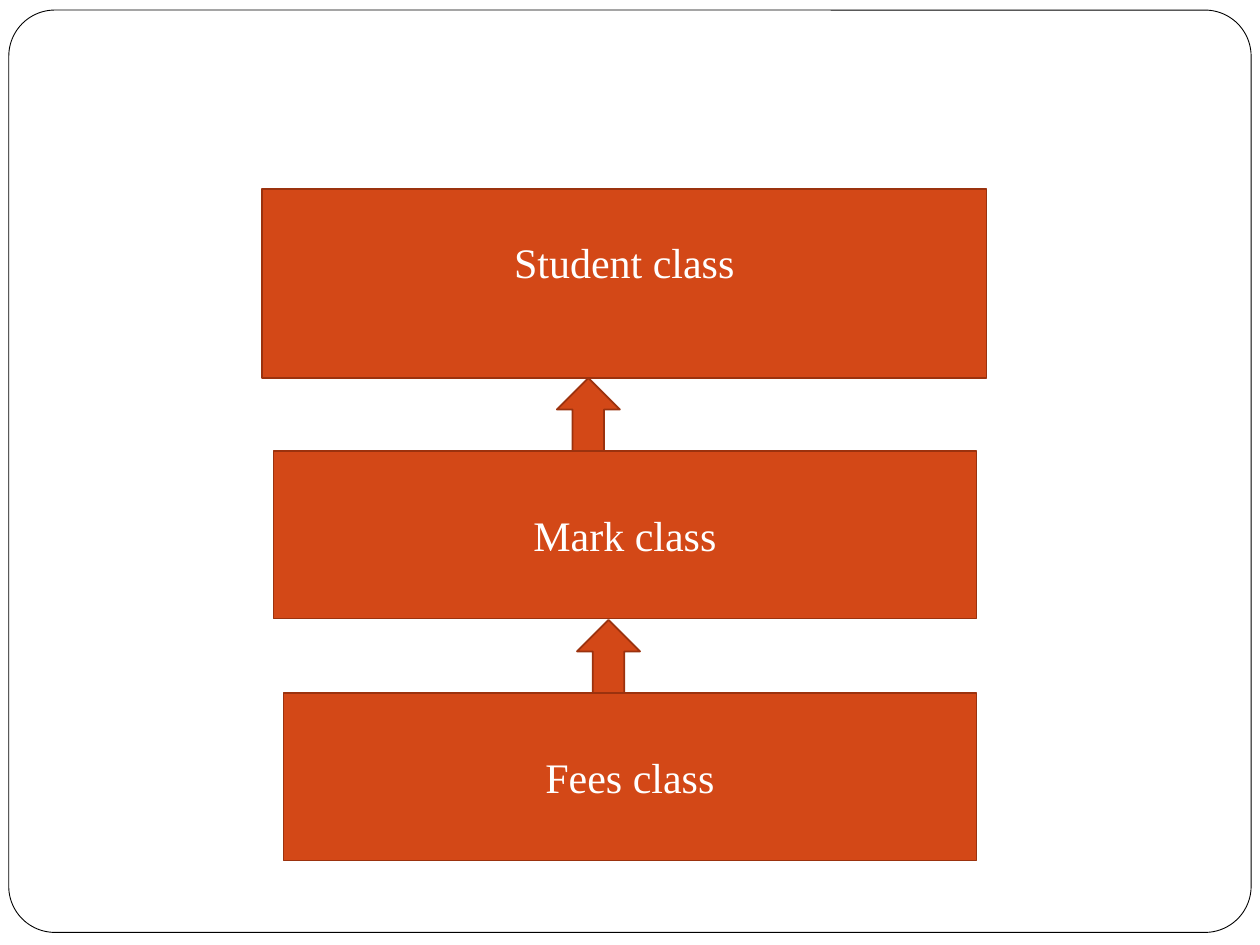
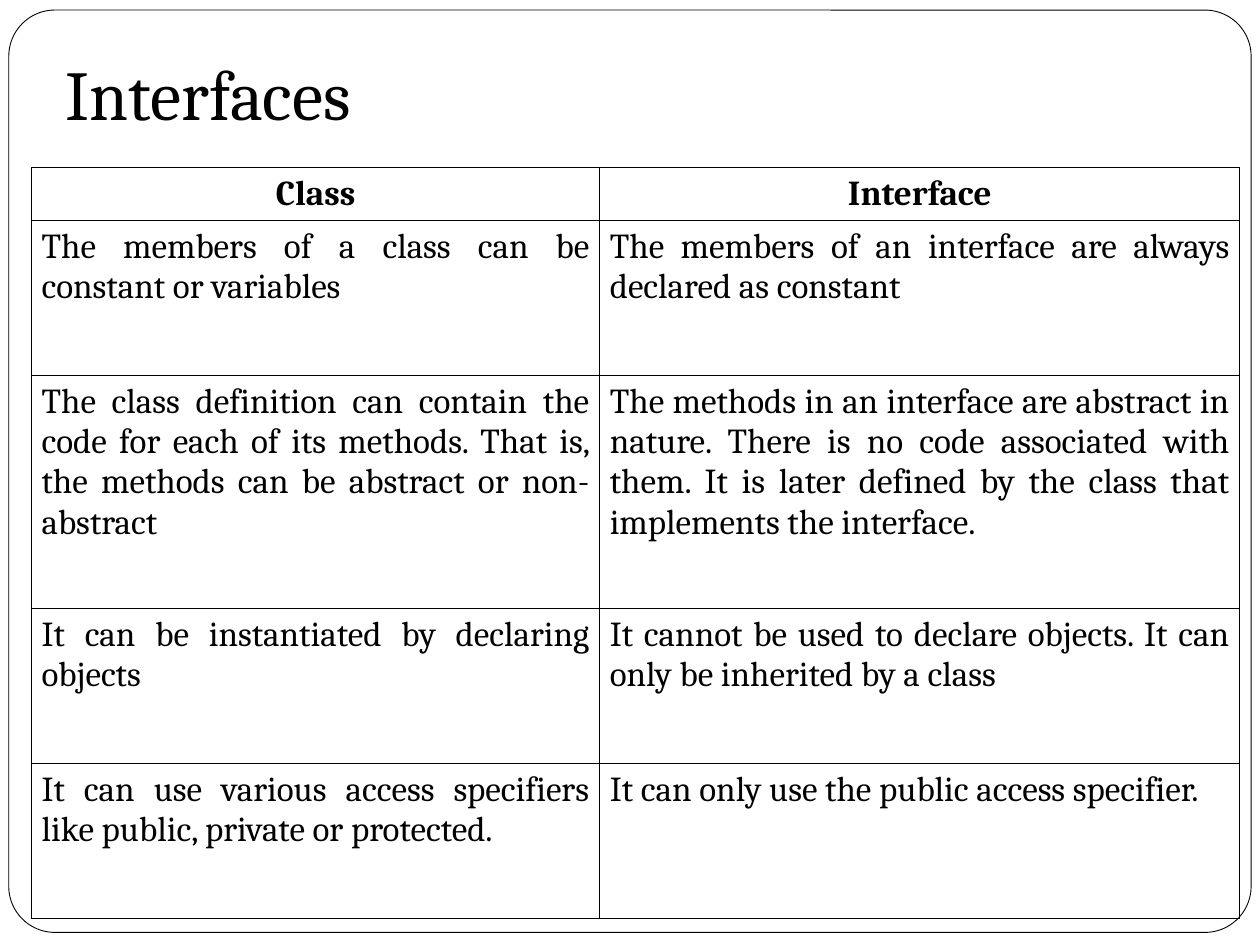
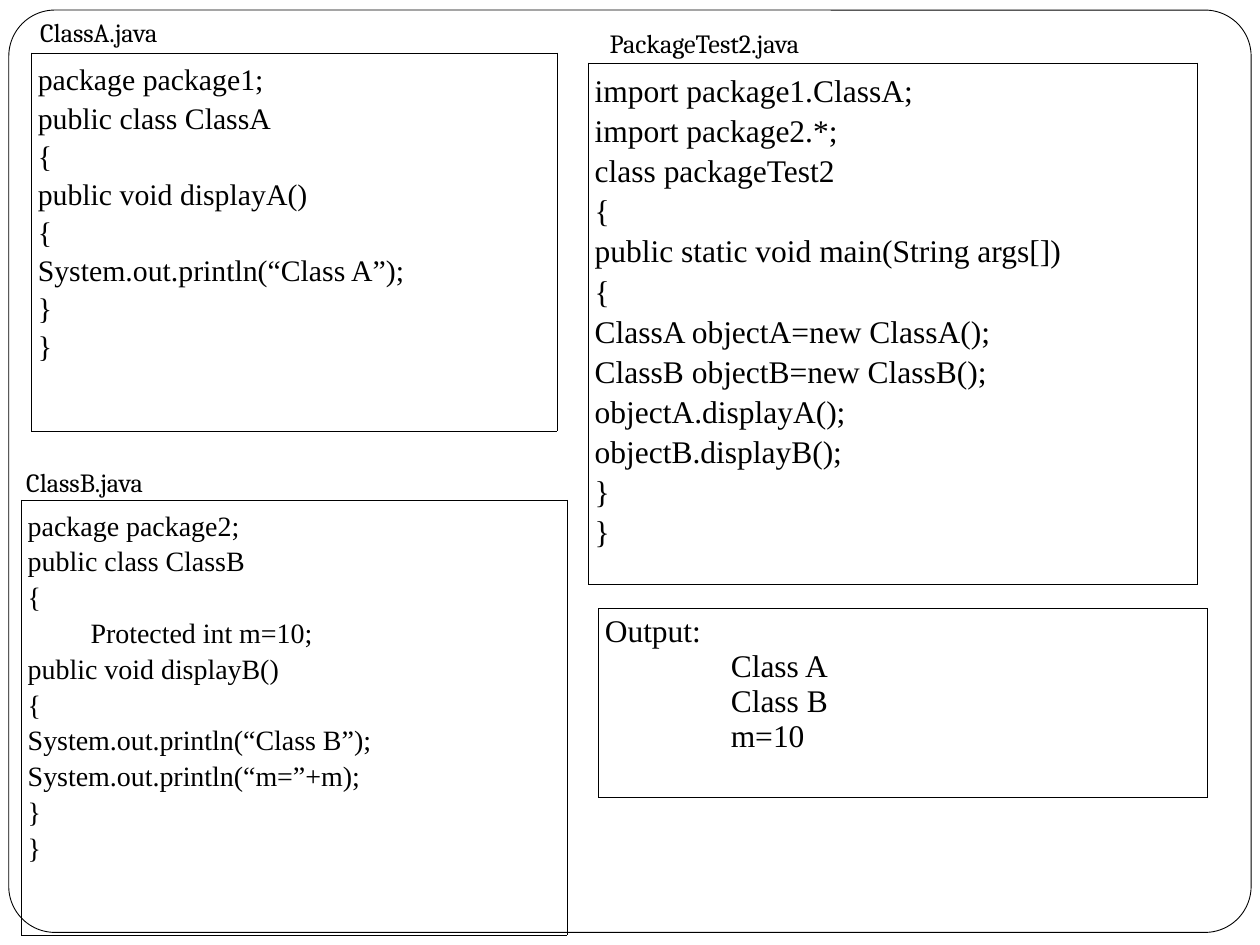
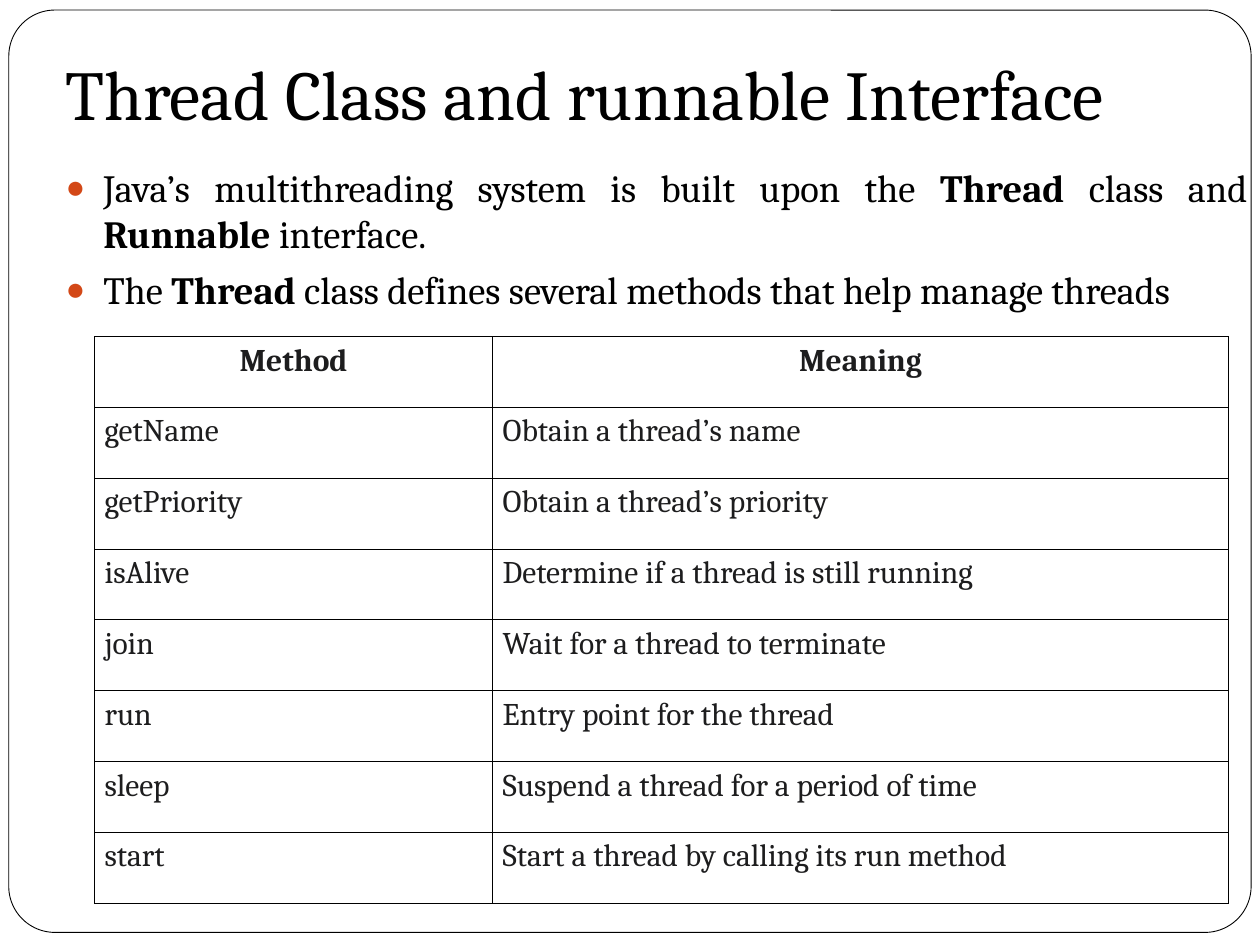
from lxml.etree import SubElement
from pptx import Presentation
from pptx.dml.color import RGBColor
from pptx.enum.shapes import MSO_SHAPE
from pptx.enum.text import MSO_ANCHOR, MSO_AUTO_SIZE, PP_ALIGN
from pptx.oxml.ns import qn
from pptx.util import Inches, Pt

COLORS = {"white": "FFFFFF", "black": "000000", "ink": "1D1D1E",
          "accent": "D34817", "edge": "9B320E"}
HEADING, SERIF = "Cambria", "Times New Roman"
LEFT, CENTER, JUSTIFY = PP_ALIGN.LEFT, PP_ALIGN.CENTER, PP_ALIGN.JUSTIFY

# Class hierarchy: label, left, top, width, height, bottom inset
CLASSES = [
    ("Fees class", 2.25, 5.5, 5.5, 1.33, 0.05),
    ("Mark class", 2.17, 3.58, 5.58, 1.33, 0.05),
    ("Student class", 2.08, 1.5, 5.75, 1.5, 0.4),
]
ARROWS = [(4.58, 4.92), (4.42, 3)]

COMPARISON = [
    ("Class", "Interface"),
    ("The members of a class can be constant or variables",
     "The members of an interface are always declared as constant"),
    ("The class definition can contain the code for each of its methods. "
     "That is, the methods can be abstract or non-abstract",
     "The methods in an interface are abstract in nature. There is no code associated "
     "with them. It is later defined by the class that implements the interface."),
    ("It can be instantiated by declaring objects",
     "It cannot be used to declare objects. It can only be inherited by a class"),
    ("It can use various access specifiers like public, private or protected.",
     "It can only use the public access specifier."),
]

OUTPUT = ["Output:", "Class A", "Class B", "m=10"]
PACKAGE_TEST = """import package1.ClassA;
import package2.*;
class packageTest2
{
public static void main(String args[])
{
ClassA objectA=new ClassA();
ClassB objectB=new ClassB();
objectA.displayA();
objectB.displayB();
}
}"""
CLASS_B = """package package2;
public class ClassB
{
         Protected int m=10;
public void displayB()
{
System.out.println(“Class B”);
System.out.println(“m=”+m);
}
}"""
CLASS_A = """package package1;
public class ClassA
{
public void displayA()
{
System.out.println(“Class A”);
}
}"""
# Code, left, top, width, height, text size
LISTINGS = [
    (PACKAGE_TEST, 4.67, 0.5, 4.83, 4.14, 18),
    (CLASS_B, 0.17, 3.97, 4.33, 3.45, 16),
    (CLASS_A, 0.25, 0.42, 4.17, 3, 17),
]
FILE_NAMES = [("ClassA.java", 0.22, 0.08, 1.14), ("ClassB.java", 0.11, 3.65, 1.13),
              ("PackageTest2.java", 4.74, 0.17, 1.73)]

# Each point is a list of (text, bold)
THREAD_POINTS = [
    [("Java’s multithreading system is built upon the ", False), ("Thread ", True),
     ("class and ", False), ("Runnable ", True), ("interface.", False)],
    [("The ", False), ("Thread ", True),
     ("class defines several methods that help manage threads", False)],
]
METHODS = [
    ("Method", "Meaning"),
    ("getName", "Obtain a thread’s name"),
    ("getPriority", "Obtain a thread’s priority"),
    ("isAlive", "Determine if a thread is still running"),
    ("join", "Wait for a thread to terminate"),
    ("run", "Entry point for the thread"),
    ("sleep", "Suspend a thread for a period of time"),
    ("start", "Start a thread by calling its run method"),
]


def color(name):
    return RGBColor.from_string(COLORS[name])


def place(*lengths):
    return [Inches(length) for length in lengths]


def add_bullet(para):
    props = para._p.get_or_add_pPr()
    props.set("marL", str(Inches(0.3)))
    props.set("indent", str(-Inches(0.3)))
    fill = SubElement(props, qn("a:buClr"))
    SubElement(fill, qn("a:srgbClr")).set("val", COLORS["accent"])
    SubElement(props, qn("a:buSzPct")).set("val", "85000")
    SubElement(props, qn("a:buChar")).set("char", "●")


def write(frame, lines, size=18, font=HEADING, ink="black", bold=False, align=LEFT,
          spacing=None, before=0, bullet=False, hang=0):
    """Fill a text frame; hang indents every line after the first."""
    for index, line in enumerate(lines):
        para = frame.paragraphs[0] if index == 0 else frame.add_paragraph()
        if bullet:
            add_bullet(para)
        if hang and index:
            para._p.get_or_add_pPr().set("marL", str(Inches(hang)))
        para.alignment = align
        para.space_before = Pt(before if index else 0)
        if spacing:
            para.line_spacing = spacing
        for text, strong in [(line, bold)] if isinstance(line, str) else line:
            span = para.add_run()
            span.text = text
            span.font.size, span.font.name, span.font.bold = Pt(size), font, strong
            span.font.color.rgb = color(ink)


def set_insets(frame, left, top, right, bottom):
    frame.margin_left, frame.margin_top, frame.margin_right, frame.margin_bottom = place(
        left, top, right, bottom)


def add_block(page, preset, at, fill="accent", edge="edge", weight=1):
    box = page.shapes.add_shape(preset, *place(*at))
    box.shadow.inherit = False
    box.fill.solid()
    box.fill.fore_color.rgb = color(fill)
    box.line.color.rgb = color(edge)
    box.line.width = Pt(weight)
    return box


def add_frame(deck, page):
    """Draw the rounded page border once and move it to the slide master."""
    border = add_block(page, MSO_SHAPE.ROUNDED_RECTANGLE, (0.07, 0.08, 9.86, 7.32),
                       "white", "black", 0.5)
    border.adjustments[0] = 0.05
    border.element.nvSpPr.cNvPr.set("id", "20")
    deck.slide_master.shapes.element.insert(2, border.element)


def add_title(page, text, align=LEFT):
    title = page.shapes.title
    title.left, title.top, title.width, title.height = place(0.42, 0.3, 9.25, 0.87)
    frame = title.text_frame
    frame.auto_size = MSO_AUTO_SIZE.NONE
    frame.vertical_anchor = MSO_ANCHOR.BOTTOM
    set_insets(frame, 0.1, 0.05, 0.1, 0.1)
    write(frame, [text], size=40, align=align)


def add_grid(page, left, top, columns, heights, inset=0.08):
    """Add an unfilled table with thin black borders."""
    shape = page.shapes.add_table(len(heights), len(columns),
                                  *place(left, top, sum(columns), sum(heights)))
    table = shape.table
    table.first_row = table.horz_banding = False
    for column, width in zip(table.columns, columns):
        column.width = Inches(width)
    for row, height in zip(table.rows, heights):
        row.height = Inches(height)
    for cell in table.iter_cells():
        set_insets(cell, inset, 0.05, inset, 0.05)
        props = cell._tc.get_or_add_tcPr()
        for side in ("lnL", "lnR", "lnT", "lnB"):
            line = SubElement(props, qn("a:" + side))
            line.set("w", str(Pt(0.45)))
            fill = SubElement(line, qn("a:solidFill"))
            SubElement(fill, qn("a:srgbClr")).set("val", COLORS["black"])
        cell.fill.background()
    return table


def fill_grid(table, rows, align, **style):
    """Write rows under a bold, centred heading row."""
    for index, row in enumerate(rows):
        for cell, text in zip(table.rows[index].cells, row):
            write(cell.text_frame, [text], bold=index == 0,
                  align=align if index else CENTER, **style)


def build_hierarchy(page):
    for label, left, top, width, height, bottom in CLASSES:
        box = add_block(page, MSO_SHAPE.RECTANGLE, (left, top, width, height))
        frame = box.text_frame
        frame.vertical_anchor = MSO_ANCHOR.MIDDLE
        set_insets(frame, 0.1, 0.05, 0.1, bottom)
        write(frame, [label], size=24, font=SERIF, ink="white", align=CENTER)
    for left, top in ARROWS:
        add_block(page, MSO_SHAPE.UP_ARROW, (left, top, 0.5, 0.58))


def build_interfaces(page):
    add_title(page, "Interfaces")
    table = add_grid(page, 0.25, 1.33, [4.51, 5.08], [0.42, 1.23, 1.85, 1.23, 1.23])
    fill_grid(table, COMPARISON, JUSTIFY, size=20)


def build_packages(page):
    output = add_grid(page, 4.75, 4.83, [4.83], [1.5], inset=0.05)
    write(output.cell(0, 0).text_frame, OUTPUT, font=SERIF, hang=1)
    for code, left, top, width, height, size in LISTINGS:
        table = add_grid(page, left, top, [width], [height], inset=0.05)
        write(table.cell(0, 0).text_frame, code.splitlines(), size=size, font=SERIF,
              align=JUSTIFY, spacing=1.15)
    for name, left, top, width in FILE_NAMES:
        frame = page.shapes.add_textbox(*place(left, top, width, 0.35)).text_frame
        frame.word_wrap = False
        frame.auto_size = MSO_AUTO_SIZE.SHAPE_TO_FIT_TEXT
        write(frame, [name], size=15)


def build_threads(page):
    add_title(page, "Thread Class and runnable Interface", JUSTIFY)
    body = page.placeholders[1]
    body.left, body.top, body.width, body.height = place(0.42, 1.25, 9.58, 6)
    body.text_frame.auto_size = MSO_AUTO_SIZE.NONE
    write(body.text_frame, THREAD_POINTS, size=22, align=JUSTIFY, before=5.8, bullet=True)
    table = add_grid(page, 0.75, 2.67, [3.16, 5.84], [4.5 / len(METHODS)] * len(METHODS))
    fill_grid(table, METHODS, LEFT, ink="ink")


def main():
    deck = Presentation()
    deck.slide_width, deck.slide_height = place(10, 7.5)
    title_content, title_only, blank = (deck.slide_layouts[i] for i in (1, 5, 6))
    for layout, build in [(blank, build_hierarchy), (title_only, build_interfaces),
                          (blank, build_packages), (title_content, build_threads)]:
        build(deck.slides.add_slide(layout))
    add_frame(deck, deck.slides[0])
    deck.save("out.pptx")


if __name__ == "__main__":
    main()
